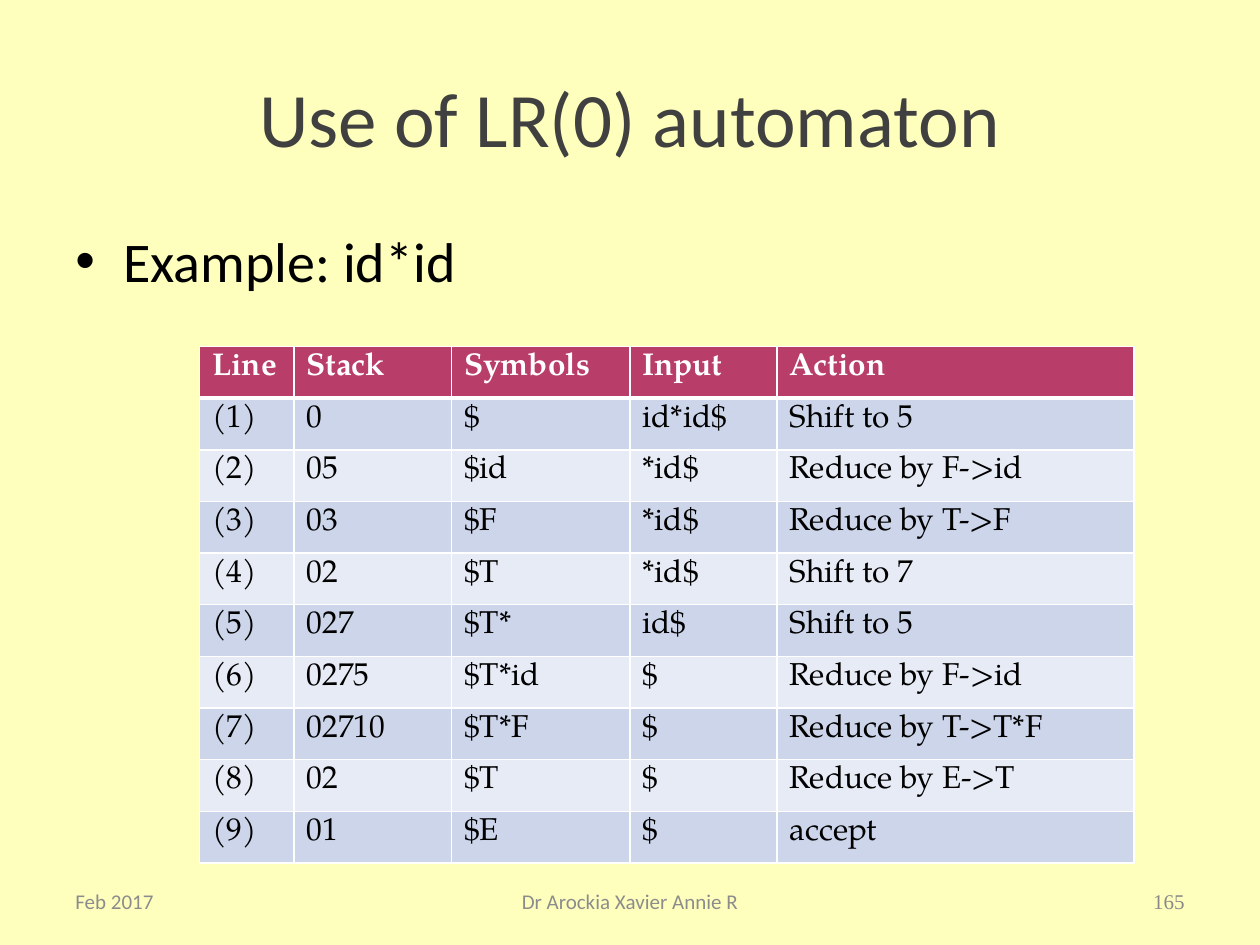
import pptx
import pptx.dml.color
import pptx.enum.text
import pptx.oxml
import pptx.oxml.ns
import pptx.util

COLORS = {
    "background": "FFFFBD",
    "title": "404040",
    "text": "000000",
    "footer": "8C8C8C",
    "number": "898989",
    "header": "B83D68",
    "odd": "CCD5EA",
    "even": "E7EBF5",
    "white": "FFFFFF",
}
WIDTH, HEIGHT = 10, 7.5
UNIT = WIDTH / 120
COLUMNS = [9, 15, 17, 14, 34]
ROW_HEIGHT = 0.41
STEPS = [
    ("Line", "Stack", "Symbols", "Input", "Action"),
    ("(1)", "0", "$", "id*id$", "Shift to 5"),
    ("(2)", "05", "$id", "*id$", "Reduce by F->id"),
    ("(3)", "03", "$F", "*id$", "Reduce by T->F"),
    ("(4)", "02", "$T", "*id$", "Shift to 7"),
    ("(5)", "027", "$T*", "id$", "Shift to 5"),
    ("(6)", "0275", "$T*id", "$", "Reduce by F->id"),
    ("(7)", "02710", "$T*F", "$", "Reduce by T->T*F"),
    ("(8)", "02", "$T", "$", "Reduce by E->T"),
    ("(9)", "01", "$E", "$", "accept"),
]
ALIGN = pptx.enum.text.PP_ALIGN
ANCHOR = pptx.enum.text.MSO_ANCHOR


def rgb(name):
    return pptx.dml.color.RGBColor.from_string(COLORS[name])


def units(count):
    return pptx.util.Inches(count * UNIT)


def set_font(p, size, color, name="Calibri", bold=False):
    p.font.size = pptx.util.Pt(size)
    p.font.name = name
    p.font.bold = bold
    p.font.color.rgb = rgb(color)


def add_text(s, text, box, size, color, align=ALIGN.LEFT,
             anchor=ANCHOR.MIDDLE, name="Calibri", bullet=False):
    sp = s.shapes.add_textbox(*map(units, box))
    tf = sp.text_frame
    tf.word_wrap = True
    tf.vertical_anchor = anchor
    p = tf.paragraphs[0]
    p.text = text
    p.alignment = align
    if bullet:
        add_bullet(p)
    set_font(p, size, color, name)


def add_bullet(p):
    indent = pptx.util.Inches(0.38)
    props = p._p.get_or_add_pPr()
    props.set("marL", str(indent))
    props.set("indent", str(-indent))
    ns = pptx.oxml.ns.nsdecls("a")
    props.append(pptx.oxml.parse_xml(f'<a:buFont {ns} typeface="Arial"/>'))
    props.append(pptx.oxml.parse_xml(f'<a:buChar {ns} char="•"/>'))


def set_borders(cell, top, bottom):
    props = cell._tc.get_or_add_tcPr()
    ns = pptx.oxml.ns.nsdecls("a")
    for side, width in (("L", 1), ("R", 1), ("T", top), ("B", bottom)):
        props.append(pptx.oxml.parse_xml(
            f'<a:ln{side} {ns} w="{pptx.util.Pt(width)}"><a:solidFill>'
            f'<a:srgbClr val="{COLORS["white"]}"/></a:solidFill></a:ln{side}>'))


def set_cell(cell, text, row):
    set_borders(cell, 3 if row == 1 else 1, 3 if row == 0 else 1)
    cell.fill.solid()
    cell.fill.fore_color.rgb = rgb(
        "header" if row == 0 else "odd" if row % 2 else "even")
    p = cell.text_frame.paragraphs[0]
    p.text = text
    set_font(p, 18, "text" if row else "white", "TeX Gyre Pagella", row == 0)


def add_steps(s, left, top):
    height = pptx.util.Inches(ROW_HEIGHT * len(STEPS))
    table = s.shapes.add_table(len(STEPS), len(COLUMNS), units(left),
                               units(top), units(sum(COLUMNS)), height).table
    for column, width in zip(table.columns, COLUMNS):
        column.width = units(width)
    for row, values in enumerate(STEPS):
        table.rows[row].height = pptx.util.Inches(ROW_HEIGHT)
        for col, text in enumerate(values):
            set_cell(table.cell(row, col), text, row)


def main():
    prs = pptx.Presentation()
    prs.slide_width = pptx.util.Inches(WIDTH)
    prs.slide_height = pptx.util.Inches(HEIGHT)
    s = prs.slides.add_slide(prs.slide_layouts[6])
    s.background.fill.solid()
    s.background.fill.fore_color.rgb = rgb("background")

    add_text(s, "Use of LR(0) automaton", (6, 3.6, 108, 15), 44, "title",
             ALIGN.CENTER)
    add_text(s, "Example: id*id", (6, 21, 108, 59.4), 32, "text",
             anchor=ANCHOR.TOP, bullet=True)
    add_text(s, "Feb 2017", (6, 83.4, 28, 4.8), 12, "footer")
    add_text(s, "Dr Arockia Xavier Annie R", (41, 83.4, 38, 4.8), 12, "footer",
             ALIGN.CENTER)
    add_text(s, "165", (86, 83.4, 28, 4.8), 12, "number", ALIGN.RIGHT,
             name="Times New Roman")
    add_steps(s, 19, 33)
    prs.save("out.pptx")


if __name__ == "__main__":
    main()
